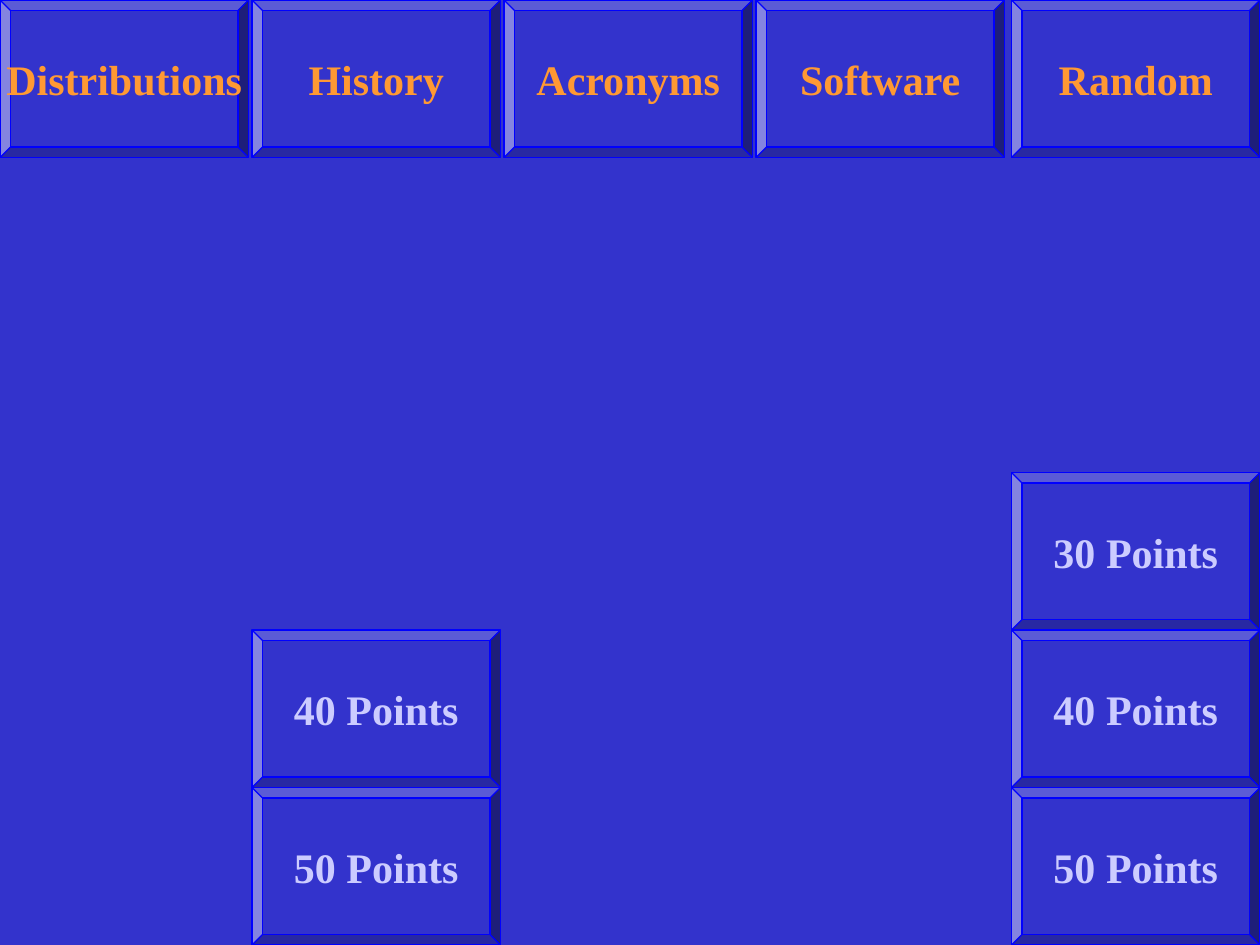
from pptx import Presentation
from pptx.dml.color import RGBColor
from pptx.enum.shapes import MSO_SHAPE
from pptx.enum.text import MSO_ANCHOR, PP_ALIGN
from pptx.util import Pt

# Each topic with the point values still on the board
BOARD = [
    ("Distributions", []),
    ("History", [40, 50]),
    ("Acronyms", []),
    ("Software", []),
    ("Random", [30, 40, 50]),
]
COLORS = {"blue": "3333CC", "edge": "0000FF", "topic": "FF9933", "points": "CCCCFF"}
FONT = "Times New Roman"
WIDE, HIGH = 720, 540
STEP = WIDE / len(BOARD)
TILE_W, TILE_H, RIM = 142, 90, 6


def color(name):
    return RGBColor.from_string(COLORS[name])


def add_tile(slide, left, row, text, ink):
    tile = slide.shapes.add_shape(
        MSO_SHAPE.BEVEL, Pt(left), Pt(row * TILE_H), Pt(TILE_W), Pt(TILE_H))
    tile.adjustments[0] = RIM / TILE_H
    tile.shadow.inherit = False
    tile.fill.solid()
    tile.fill.fore_color.rgb = color("blue")
    tile.line.color.rgb = color("edge")
    tile.line.width = Pt(0.75)

    frame = tile.text_frame
    frame.text = text
    frame.word_wrap = False
    frame.vertical_anchor = MSO_ANCHOR.MIDDLE
    para = frame.paragraphs[0]
    para.alignment = PP_ALIGN.CENTER
    font = para.runs[0].font
    font.name, font.size, font.bold = FONT, Pt(24), True
    font.color.rgb = color(ink)


def main():
    deck = Presentation()
    deck.slide_width, deck.slide_height = Pt(WIDE), Pt(HIGH)
    slide = deck.slides.add_slide(deck.slide_layouts[6])
    slide.background.fill.solid()
    slide.background.fill.fore_color.rgb = color("blue")

    for col, (topic, values) in enumerate(BOARD):
        # The last column sits flush with the right edge
        left = WIDE - TILE_W if col == len(BOARD) - 1 else col * STEP
        add_tile(slide, left, 0, topic, "topic")
        for value in values:
            add_tile(slide, left, value // 10, f"{value} Points", "points")

    deck.save("out.pptx")


if __name__ == "__main__":
    main()
